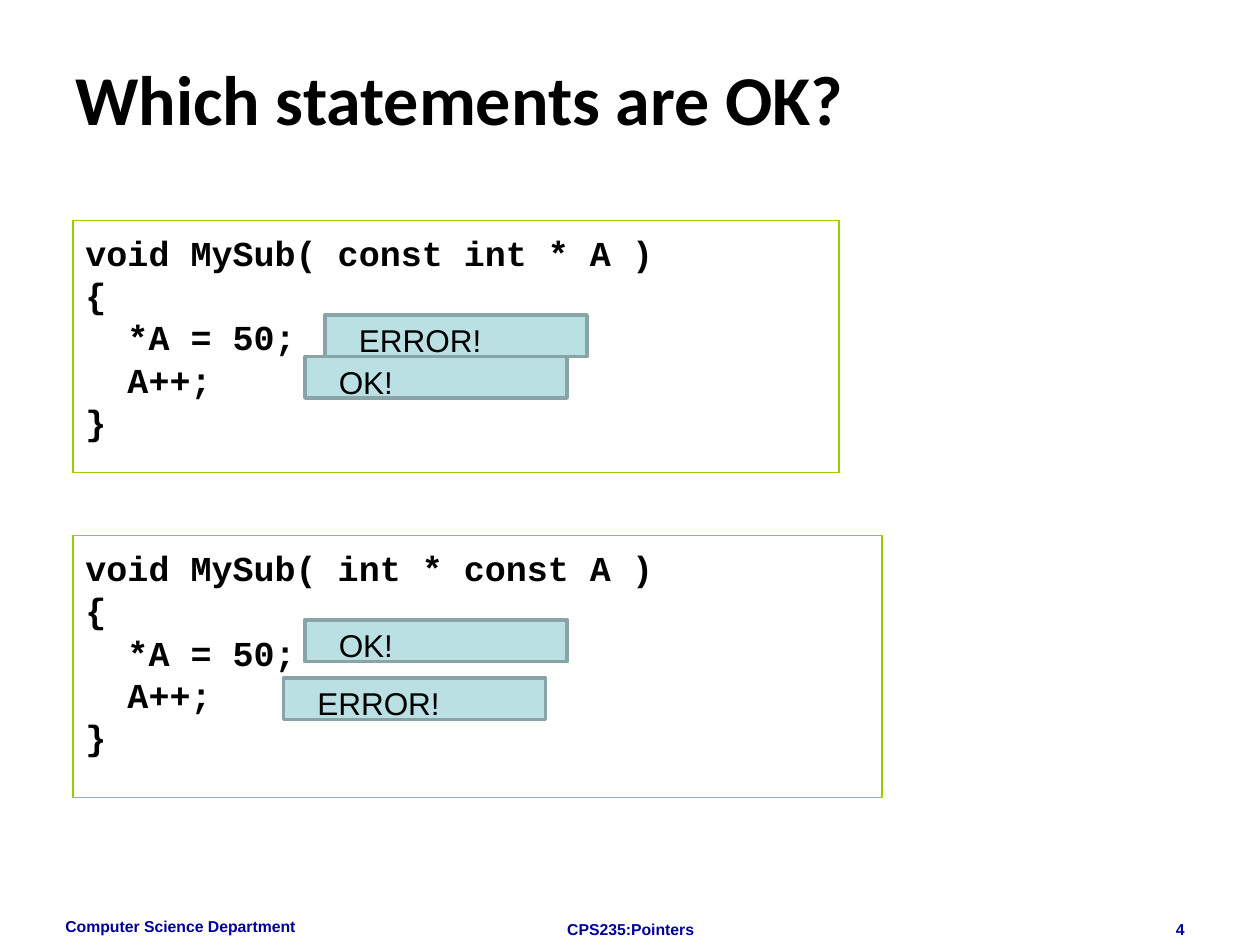
from pptx import Presentation
from pptx.dml.color import RGBColor
from pptx.enum.shapes import MSO_SHAPE
from pptx.enum.text import MSO_ANCHOR, PP_ALIGN
from pptx.util import Inches, Pt

BLACK = RGBColor(0x00, 0x00, 0x00)
NAVY = RGBColor(0x00, 0x00, 0x99)
LIME = RGBColor(0x99, 0xCC, 0x00)
PALE_TEAL = RGBColor(0xBB, 0xE0, 0xE3)
GREY_TEAL = RGBColor(0x89, 0xA4, 0xA7)


class SlideBuilder:
    def __init__(self, slide):
        self.slide = slide

    def add_run(self, paragraph, text, size, font, color=BLACK, bold=False):
        run = paragraph.add_run()
        run.text = text
        run.font.size = Pt(size)
        run.font.name = font
        run.font.bold = bold
        run.font.color.rgb = color

    def text(self, bounds, text, size, font="Arial", color=BLACK, bold=False,
             align=PP_ALIGN.LEFT, anchor=MSO_ANCHOR.TOP):
        box = self.slide.shapes.add_textbox(*map(Inches, bounds))
        frame = box.text_frame
        frame.word_wrap = True
        frame.vertical_anchor = anchor
        paragraph = frame.paragraphs[0]
        paragraph.alignment = align
        self.add_run(paragraph, text, size, font, color, bold)

    def footer(self, bounds, text, align):
        self.text(bounds, text, 9, color=NAVY, bold=True, align=align)

    def rectangle(self, bounds, line_color, line_width, fill=None):
        box = self.slide.shapes.add_shape(MSO_SHAPE.RECTANGLE, *map(Inches, bounds))
        box.shadow.inherit = False
        box.line.color.rgb = line_color
        box.line.width = Pt(line_width)
        if fill is None:
            box.fill.background()
        else:
            box.fill.solid()
            box.fill.fore_color.rgb = fill
        return box

    def code(self, bounds, lines):
        frame = self.rectangle(bounds, LIME, 0.75).text_frame
        frame.word_wrap = True
        frame.vertical_anchor = MSO_ANCHOR.TOP
        frame.margin_top = Inches(0.15)
        for index, line in enumerate(lines):
            paragraph = frame.add_paragraph() if index else frame.paragraphs[0]
            paragraph.alignment = PP_ALIGN.LEFT
            paragraph.line_spacing = 0.8
            if index:
                paragraph.space_before = Pt(5)
            self.add_run(paragraph, line, 20, "Courier New", bold=True)

    def verdict(self, left, top, text):
        """Add a filled bar with the answer for one code line."""
        self.rectangle((left, top, 2.08, 0.33), GREY_TEAL, 2, PALE_TEAL)
        self.text((left + 0.17, top, 1.58, 0.4), text, 18)


def main():
    presentation = Presentation()
    presentation.slide_width = Inches(10)
    presentation.slide_height = Inches(7.5)
    builder = SlideBuilder(
        presentation.slides.add_slide(presentation.slide_layouts[6]))

    builder.footer((0.42, 7.23, 2.33, 0.27), "Computer Science Department", PP_ALIGN.LEFT)
    builder.text((0.5, 0.3, 9, 0.95), "Which statements are OK?", 40,
                 font="Calibri", bold=True, anchor=MSO_ANCHOR.MIDDLE)
    builder.footer((3.42, 7.25, 3.17, 0.1), "CPS235:Pointers", PP_ALIGN.CENTER)
    builder.footer((7.17, 7.25, 2.33, 0.1), "4", PP_ALIGN.RIGHT)

    body = ["{", "  *A = 50;", "  A++;", "}"]
    builder.code((0.58, 1.75, 6.08, 2), ["void MySub( const int * A )"] + body)
    builder.code((0.58, 4.25, 6.42, 2.08), ["void MySub( int * const A )"] + body)

    for left, top, answer in [
        (2.58, 2.5, "ERROR!"),
        (2.42, 2.83, "OK!"),
        (2.25, 5.38, "ERROR!"),
        (2.42, 4.92, "OK!"),
    ]:
        builder.verdict(left, top, answer)

    presentation.save("out.pptx")


if __name__ == "__main__":
    main()
